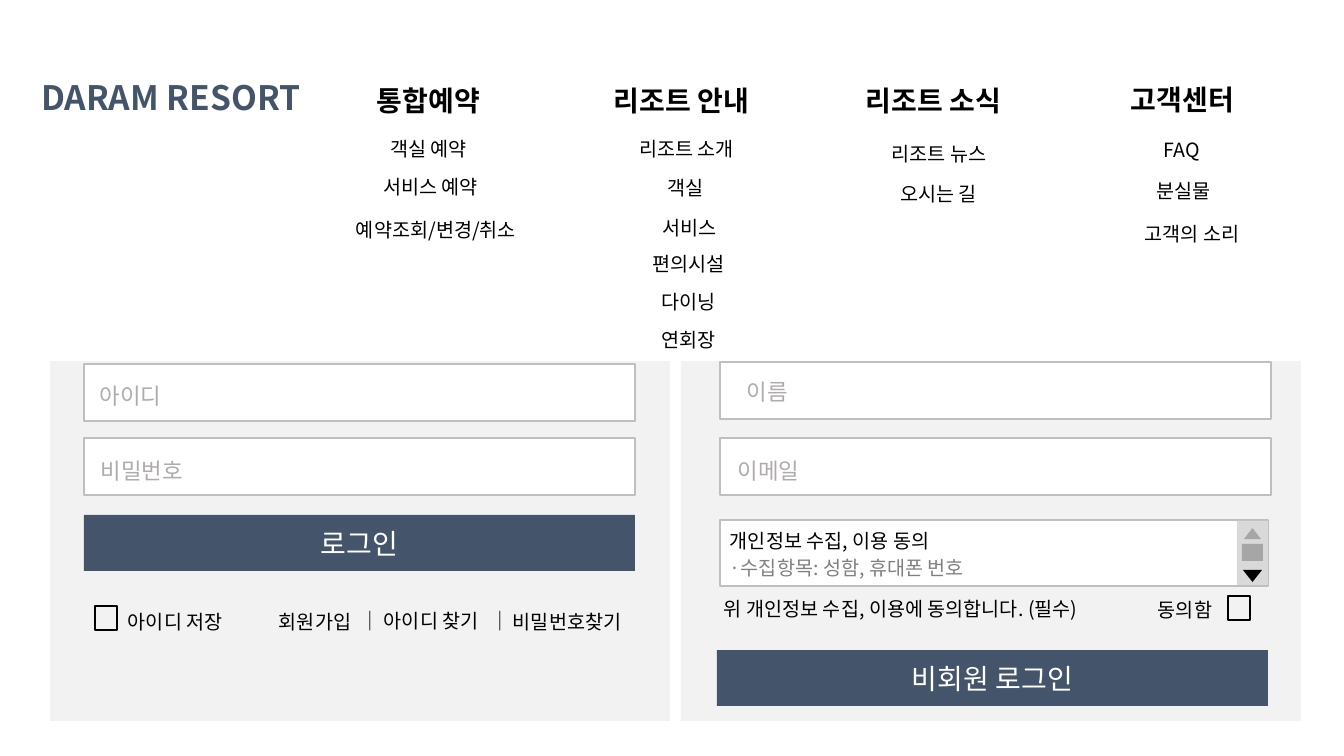
from dataclasses import dataclass

from pptx import Presentation
from pptx.dml.color import RGBColor
from pptx.enum.shapes import MSO_SHAPE
from pptx.enum.text import MSO_ANCHOR, MSO_AUTO_SIZE, PP_ALIGN
from pptx.util import Pt
from lxml.etree import SubElement
from pptx.oxml.ns import qn


@dataclass(frozen=True)
class Theme:
    font: str = "Noto Sans CJK KR"
    navy: str = "44546A"
    black: str = "000000"
    white: str = "FFFFFF"
    panel: str = "F2F2F2"
    border: str = "BFBFBF"
    hint: str = "AFABAB"
    muted: str = "808080"
    track: str = "D9D9D9"
    thumb: str = "A6A6A6"
    logo: int = 24
    head: int = 20
    field: int = 16
    body: int = 14


T = Theme()
EMU_PER_PX = 914400 / 100.8
SLIDE_W, SLIDE_H = 1344, 756

SITE_NAME = ("DARAM RESORT", 31, 72, 287, 50)

# heading (text, x, y, w) and its items (text, x, y, w)
MENU = [
    (("통합예약", 367, 79, 141), [
        ("객실 예약", 365, 120, 127),
        ("서비스 예약", 362, 158, 137),
        ("예약조회/변경/취소", 333, 201, 206)]),
    (("리조트 안내", 604, 79, 185), [
        ("리조트 소개", 609, 120, 155),
        ("객실", 649, 159, 74),
        ("서비스", 641, 199, 97),
        ("편의시설", 622, 235, 133),
        ("다이닝", 643, 273, 92),
        ("연회장", 643, 311, 92)]),
    (("리조트 소식", 856, 79, 178), [
        ("리조트 뉴스", 872, 125, 134),
        ("오시는 길", 877, 165, 123)]),
    (("고객센터", 1121, 78, 140), [
        ("FAQ", 1133, 121, 97),
        ("분실물", 1134, 162, 99),
        ("고객의 소리", 1129, 205, 126)]),
]

# field corner (x, y), then hint (text, x, y)
FIELDS = [
    ((84, 364), ("아이디", 90, 377)),
    ((84, 438), ("비밀번호", 91, 452)),
    ((720, 362), ("이름", 737, 373)),
    ((720, 438), ("이메일", 728, 452)),
]
BUTTONS = [("로그인", 84, 515), ("비회원 로그인", 717, 650)]
CHECKBOXES = [(95, 606), (1228, 596)]
PANELS_X = [50, 681]
CONSENT_BOX = (720, 520, 548, 66)
SCROLLBAR = [
    (MSO_SHAPE.RECTANGLE, (1237, 521, 31, 64), T.track, 0),
    (MSO_SHAPE.RECTANGLE, (1242, 544, 21, 17), T.thumb, 0),
    (MSO_SHAPE.ISOSCELES_TRIANGLE, (1244, 528, 17, 11), T.thumb, 0),
    (MSO_SHAPE.ISOSCELES_TRIANGLE, (1243, 570, 19, 12), T.black, 180),
]
LABELS = [
    ("아이디 저장", 118, 605, 179, T.black),
    ("회원가입", 269, 605, 108, T.black),
    ("｜", 351, 604, 27, T.black),
    ("아이디 찾기", 374, 604, 134, T.black),
    ("｜", 481, 604, 27, T.black),
    ("비밀번호찾기", 503, 605, 138, T.black),
    ("개인정보 수집, 이용 동의", 720, 524, 340, T.black),
    ("·수집항목: 성함, 휴대폰 번호", 720, 551, 340, T.muted),
    ("위 개인정보 수집, 이용에 동의합니다. (필수)", 714, 592, 404, T.black),
    ("동의함", 1148, 593, 166, T.black),
]


def px(*values):
    return [round(v * EMU_PER_PX) for v in values]


def write(sp, text, size, color, bold=False, **para):
    p = sp.text_frame.paragraphs[0]
    for name, value in para.items():
        setattr(p, name, value)
    r = p.add_run()
    r.text = text
    for name, value in {"name": T.font, "size": Pt(size), "bold": bold}.items():
        setattr(r.font, name, value)
    r.font.color.rgb = RGBColor.from_string(color)
    SubElement(r.font._element, qn("a:ea"), typeface=T.font)


def add_block(s, box, fill=None, line=None, kind=MSO_SHAPE.RECTANGLE):
    sp = s.shapes.add_shape(kind, *px(*box))
    sp.shadow.inherit = False
    if fill:
        sp.fill.solid()
        sp.fill.fore_color.rgb = RGBColor.from_string(fill)
    else:
        sp.fill.background()
    if line:
        sp.line.color.rgb = RGBColor.from_string(line)
        sp.line.width = Pt(1)
    else:
        sp.line.fill.background()
    return sp


def fit_frame(tf):
    for name, value in {"word_wrap": True, "vertical_anchor": MSO_ANCHOR.TOP,
                        "auto_size": MSO_AUTO_SIZE.SHAPE_TO_FIT_TEXT}.items():
        setattr(tf, name, value)


def add_text(s, text, box, size, color=T.black, **style):
    sp = s.shapes.add_textbox(*px(*box))
    fit_frame(sp.text_frame)
    write(sp, text, size, color, **style)


def add_forms(s):
    for x in PANELS_X:
        add_block(s, (x, 303, 620, 418), T.panel)
    for corner, (hint, x, y) in FIELDS:
        add_block(s, (*corner, 551, 57), T.white, T.border)
        add_text(s, hint, (x, y, 179, 37), T.field, T.hint)
    for text, x, y in BUTTONS:
        sp = add_block(s, (x, y, 551, 56), T.navy)
        sp.text_frame.vertical_anchor = MSO_ANCHOR.MIDDLE
        write(sp, text, T.head, T.white, alignment=PP_ALIGN.CENTER)
    for corner in CHECKBOXES:
        add_block(s, (*corner, 22, 24), line=T.black)
    add_block(s, CONSENT_BOX, T.white, T.border)
    for kind, box, color, angle in SCROLLBAR:
        add_block(s, box, color, kind=kind).rotation = angle
    for text, x, y, w, color in LABELS:
        add_text(s, text, (x, y, w, 34), T.body, color)


def add_menu(s):
    """Lay the open menu, with the site name, over the top of the forms."""
    backdrop = add_block(s, (0, 0, SLIDE_W, 361), T.white)
    title = s.shapes.title
    backdrop.element.addnext(title.element)
    name, *box = SITE_NAME
    title.left, title.top, title.width, title.height = px(*box)
    fit_frame(title.text_frame)
    write(title, name, T.logo, T.navy, bold=True, alignment=PP_ALIGN.LEFT)
    for (heading, x, y, w), items in MENU:
        add_text(s, heading, (x, y, w, 44), T.head, bold=True)
        for text, x, y, w in items:
            add_text(s, text, (x, y, w, 45), T.body,
                     alignment=PP_ALIGN.CENTER, line_spacing=1.5)


def main():
    prs = Presentation()
    prs.slide_width, prs.slide_height = px(SLIDE_W, SLIDE_H)
    s = prs.slides.add_slide(prs.slide_layouts[5])
    add_forms(s)
    add_menu(s)
    prs.save("out.pptx")


if __name__ == "__main__":
    main()
